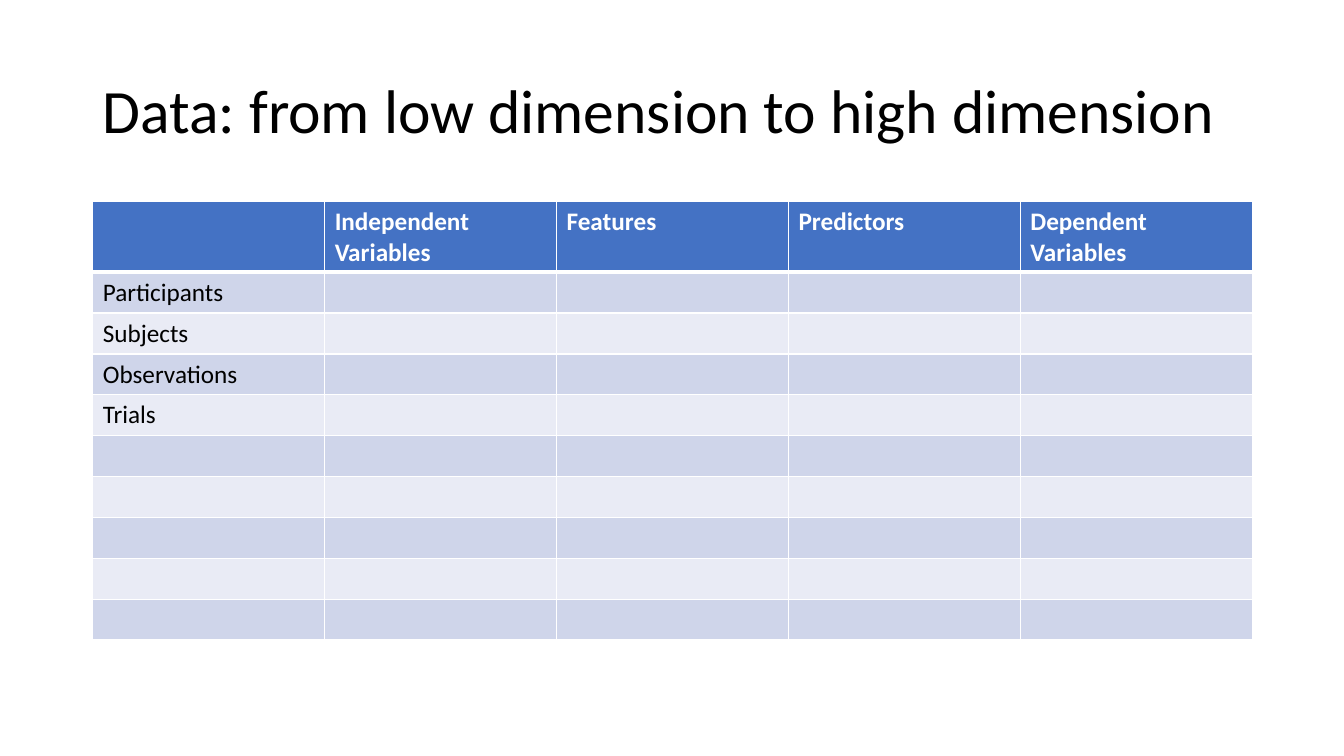
from dataclasses import dataclass

from lxml.etree import SubElement
from pptx import Presentation
from pptx.dml.color import RGBColor
from pptx.enum.text import MSO_ANCHOR
from pptx.oxml.ns import qn
from pptx.slide import Slide
from pptx.table import _Cell
from pptx.text.text import TextFrame
from pptx.util import Inches, Pt

WIDTH, HEIGHT = Inches(13.33), Inches(7.5)
LEFT, CONTENT_WIDTH = Inches(0.92), Inches(11.5)
TITLE_TOP, TITLE_HEIGHT = Inches(0.4), Inches(1.45)
TABLE_TOP, TABLE_HEIGHT = Inches(2), Inches(4.35)
HEADER_HEIGHT = Inches(0.7)
FONT = "Calibri"
COLORS = {
    "white": "FFFFFF",
    "black": "000000",
    "header": "4472C4",
    "odd": "CFD5EA",
    "even": "E9EBF5",
}
HEADINGS = (
    "",
    "Independent Variables",
    "Features",
    "Predictors",
    "Dependent\nVariables",
)
LABELS = ("Participants", "Subjects", "Observations", "Trials")
BODY_ROWS = 9


@dataclass(frozen=True)
class RowStyle:
    fill: str
    color: str
    bold: bool
    top: int
    bottom: int


HEADER = RowStyle("header", "white", True, 1, 3)
FIRST = RowStyle("odd", "black", False, 3, 1)
ODD = RowStyle("odd", "black", False, 1, 1)
EVEN = RowStyle("even", "black", False, 1, 1)


def rgb(name: str) -> RGBColor:
    return RGBColor.from_string(COLORS[name])


def write(tf: TextFrame, text: str, size: int, color: str, bold: bool = False) -> None:
    tf.text = text
    for p in tf.paragraphs:
        for font in (p.font, *(r.font for r in p.runs)):
            font.name, font.size, font.bold = FONT, Pt(size), bold
            font.color.rgb = rgb(color)


def draw_borders(cell: _Cell, style: RowStyle) -> None:
    props = cell._tc.get_or_add_tcPr()
    for side, width in (("L", 1), ("R", 1), ("T", style.top), ("B", style.bottom)):
        line = SubElement(props, qn(f"a:ln{side}"), w=str(Pt(width)))
        fill = SubElement(line, qn("a:solidFill"))
        SubElement(fill, qn("a:srgbClr"), val=COLORS["white"])


def draw_cell(cell: _Cell, text: str, style: RowStyle) -> None:
    draw_borders(cell, style)
    cell.fill.solid()
    cell.fill.fore_color.rgb = rgb(style.fill)
    write(cell.text_frame, text, 18, style.color, style.bold)


def draw_title(s: Slide) -> None:
    sp = s.shapes.add_textbox(LEFT, TITLE_TOP, CONTENT_WIDTH, TITLE_HEIGHT)
    tf = sp.text_frame
    tf.word_wrap = True
    tf.vertical_anchor = MSO_ANCHOR.MIDDLE
    write(tf, "Data: from low dimension to high dimension", 44, "black")
    tf.paragraphs[0].line_spacing = 0.9


def draw_table(s: Slide) -> None:
    columns = len(HEADINGS)
    table = s.shapes.add_table(
        BODY_ROWS + 1, columns, LEFT, TABLE_TOP, CONTENT_WIDTH, TABLE_HEIGHT
    ).table
    body_height = (TABLE_HEIGHT - HEADER_HEIGHT) // BODY_ROWS
    for i, row in enumerate(table.rows):
        row.height = body_height if i else HEADER_HEIGHT
        label = LABELS[i - 1] if 0 < i <= len(LABELS) else ""
        texts = (label,) + ("",) * (columns - 1) if i else HEADINGS
        style = {0: HEADER, 1: FIRST}.get(i, ODD if i % 2 else EVEN)
        for cell, text in zip(row.cells, texts):
            draw_cell(cell, text, style)


def main() -> None:
    prs = Presentation()
    prs.slide_width, prs.slide_height = WIDTH, HEIGHT
    s = prs.slides.add_slide(prs.slide_layouts[6])
    draw_title(s)
    draw_table(s)
    prs.save("out.pptx")


if __name__ == "__main__":
    main()
